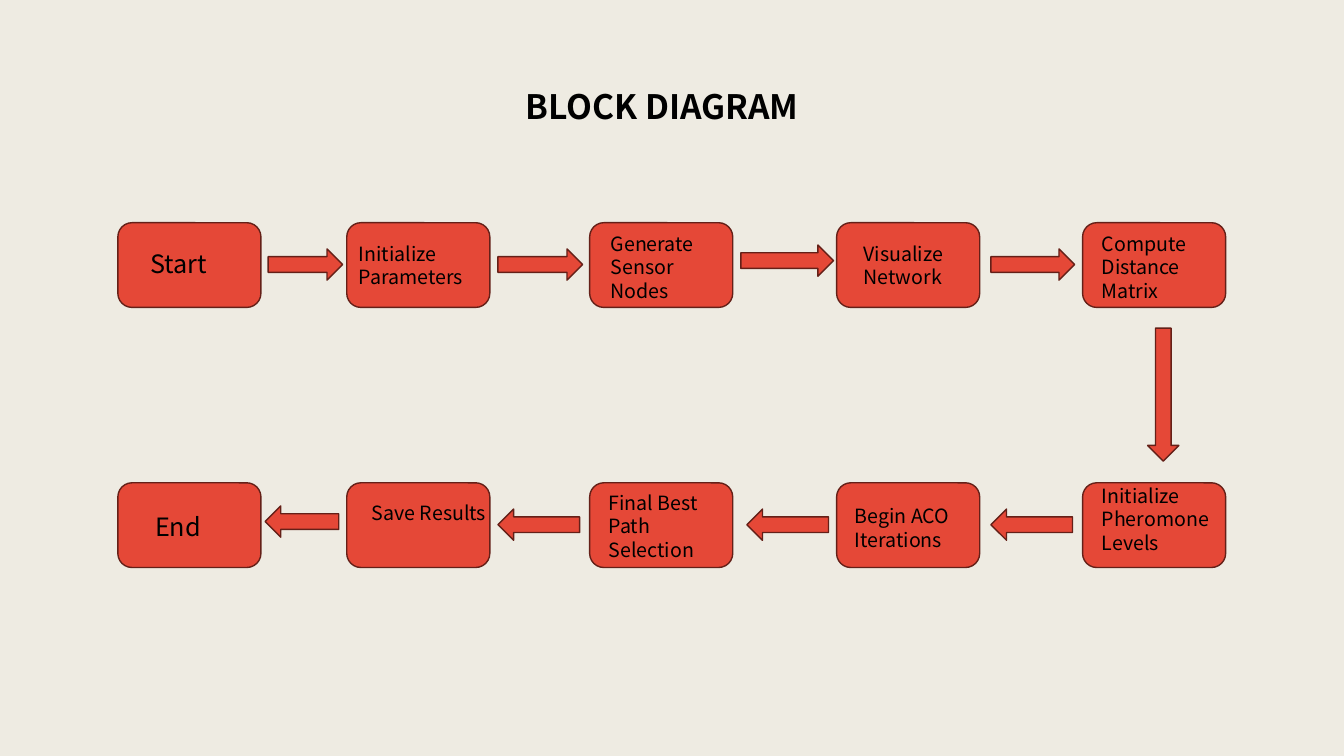
from dataclasses import dataclass

from pptx import Presentation
from pptx.dml.color import RGBColor
from pptx.enum.shapes import MSO_SHAPE as Preset
from pptx.enum.text import MSO_ANCHOR as Anchor, MSO_AUTO_SIZE as AutoSize, PP_ALIGN as Align
from pptx.shapes.autoshape import Shape
from pptx.slide import Slide
from pptx.text.text import TextFrame
from pptx.util import Pt


@dataclass(frozen=True)
class Theme:
    background: RGBColor = RGBColor(0xEE, 0xEB, 0xE2)
    fill: RGBColor = RGBColor(0xE5, 0x48, 0x37)
    outline: RGBColor = RGBColor(0x64, 0x20, 0x18)
    text: RGBColor = RGBColor(0, 0, 0)
    font: str = "Noto Sans CJK JP"
    title_size: int = 24
    terminal_size: int = 18
    step_size: int = 14
    line_pitch: float = 1.2


@dataclass(frozen=True)
class Step:
    """A block on the grid; its label has its own place, in points."""
    label: str
    column: int
    row: int
    left: float
    top: float
    width: float
    height: float
    size: int


@dataclass(frozen=True)
class Arrow:
    """A block arrow, in points before rotation."""
    left: float
    top: float
    width: float
    rotation: int = 0


THEME = Theme()
COLUMNS = (84.2, 247.7, 421.2, 597.6, 773.3)
ROWS = (159.1, 344.9)
BLOCK_WIDTH, BLOCK_HEIGHT = 102.2, 60.5
ARROW_HEIGHT = 22.3

STEPS = (
    Step("Start", 0, 0, 100.1, 174.2, 82.1, 28.8, THEME.terminal_size),
    Step("Initialize Parameters", 1, 0, 249.1, 169.2, 100.8, 41, THEME.step_size),
    Step("Generate Sensor Nodes", 2, 0, 429.1, 162, 102.2, 58, THEME.step_size),
    Step("Visualize Network", 3, 0, 609.8, 169.2, 102.2, 41, THEME.step_size),
    Step("Compute Distance Matrix", 4, 0, 779.8, 162, 102.2, 58, THEME.step_size),
    Step("Initialize Pheromone Levels", 4, 1, 779.8, 342, 99.4, 58, THEME.step_size),
    Step("Begin ACO Iterations", 3, 1, 603.4, 356.4, 102.2, 41, THEME.step_size),
    Step("Final Best Path Selection", 2, 1, 427.7, 347, 102.2, 58, THEME.step_size),
    Step("Save Results", 1, 1, 258.5, 354.2, 98.6, 41, THEME.step_size),
    Step("End", 0, 1, 103.7, 361.4, 85.7, 28.8, THEME.terminal_size),
)

ARROWS = (
    Arrow(191.5, 177.8, 53.3),
    Arrow(355.7, 177.8, 60.5),
    Arrow(529.2, 175, 66.2),
    Arrow(707.8, 177.8, 59.8),
    Arrow(783.4, 270.7, 95, 90),
    Arrow(707.8, 363.6, 58.3, 180),
    Arrow(533.5, 363.6, 58.3, 180),
    Arrow(355.7, 363.6, 58.3, 180),
    Arrow(189.4, 361.4, 52.6, 180),
)


def write_text(frame: TextFrame, text: str, size: int, bold: bool = False,
               alignment: Align = Align.LEFT) -> None:
    frame_format = {
        "word_wrap": True,
        "auto_size": AutoSize.SHAPE_TO_FIT_TEXT,
        "vertical_anchor": Anchor.TOP,
        "margin_left": Pt(7.2),
        "margin_right": Pt(7.2),
        "margin_top": Pt(3.6),
        "margin_bottom": Pt(3.6),
    }
    for name, value in frame_format.items():
        setattr(frame, name, value)
    paragraph = frame.paragraphs[0]
    paragraph.alignment = alignment
    paragraph.line_spacing = Pt(size * THEME.line_pitch)
    run = paragraph.add_run()
    run.text = text
    font_format = {"name": THEME.font, "size": Pt(size), "bold": bold}
    for name, value in font_format.items():
        setattr(run.font, name, value)
    run.font.color.rgb = THEME.text


def add_block(slide: Slide, preset: Preset, left: float, top: float,
              width: float, height: float) -> Shape:
    shape = slide.shapes.add_shape(preset, Pt(left), Pt(top), Pt(width), Pt(height))
    shape.shadow.inherit = False
    shape.fill.solid()
    shape.fill.fore_color.rgb = THEME.fill
    shape.line.color.rgb = THEME.outline
    shape.line.width = Pt(1)
    return shape


def add_label(slide: Slide, step: Step) -> None:
    box = slide.shapes.add_textbox(Pt(step.left), Pt(step.top), Pt(step.width), Pt(step.height))
    write_text(box.text_frame, step.label, step.size)


def add_title(slide: Slide) -> None:
    title = slide.shapes.title
    place = {"left": Pt(280), "top": Pt(57.6), "width": Pt(386), "height": Pt(36)}
    for name, value in place.items():
        setattr(title, name, value)
    write_text(title.text_frame, "BLOCK DIAGRAM", THEME.title_size, True, Align.CENTER)


def main() -> None:
    presentation = Presentation()
    presentation.slide_width, presentation.slide_height = Pt(960), Pt(540)
    slide = presentation.slides.add_slide(presentation.slide_layouts.get_by_name("Title Only"))
    slide.background.fill.solid()
    slide.background.fill.fore_color.rgb = THEME.background

    add_title(slide)

    # Blocks, then their labels
    for step in STEPS:
        add_block(slide, Preset.ROUNDED_RECTANGLE, COLUMNS[step.column], ROWS[step.row],
                  BLOCK_WIDTH, BLOCK_HEIGHT)
    for step in STEPS:
        add_label(slide, step)

    # Arrows along the flow
    for arrow in ARROWS:
        shape = add_block(slide, Preset.RIGHT_ARROW, arrow.left, arrow.top,
                          arrow.width, ARROW_HEIGHT)
        shape.rotation = arrow.rotation

    presentation.save("out.pptx")


if __name__ == "__main__":
    main()
